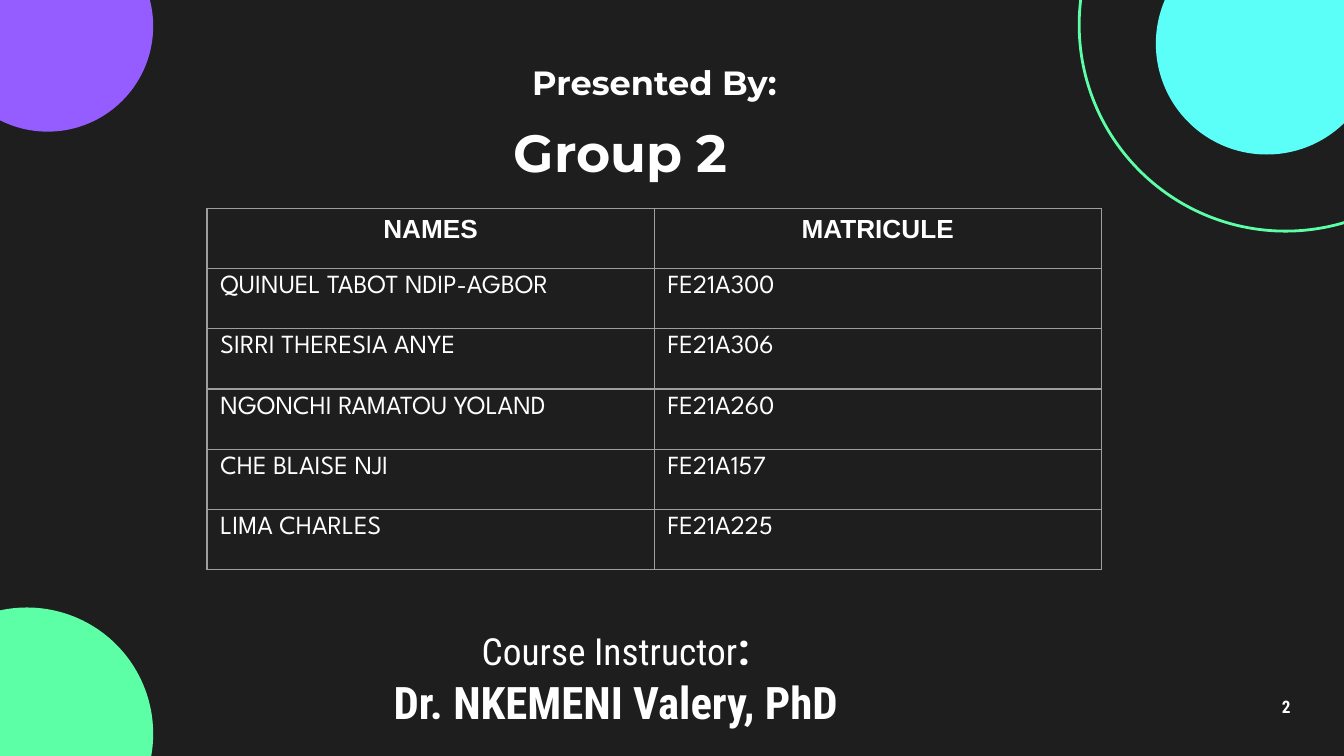
from lxml import etree
from pptx import Presentation
from pptx.dml.color import RGBColor
from pptx.enum.shapes import MSO_SHAPE
from pptx.enum.text import MSO_ANCHOR, MSO_AUTO_SIZE, PP_ALIGN
from pptx.oxml import parse_xml
from pptx.util import Pt

OVAL = MSO_SHAPE.OVAL
MIDDLE = MSO_ANCHOR.MIDDLE
NO_FIT = MSO_AUTO_SIZE.NONE
CENTER, LEFT = PP_ALIGN.CENTER, PP_ALIGN.LEFT
DRAWING = "http://schemas.openxmlformats.org/drawingml/2006/main"

THEME = {
    "background": "1E1E1E", "green": "5CFFA6", "cyan": "5CFFF8",
    "purple": "955CFF", "grid": "9E9E9E",
    "ring_width": 1.5, "grid_width": 0.75, "inset": 7.2,
    "styles": {
        "heading": ("Montserrat", 18, True, "FFFFFF"),
        "group": ("Montserrat", 28, True, "FFFFFF"),
        "column": ("Arial", 14, True, "FFFFFF"),
        "member": ("League Spartan", 14, False, "FFFFFF"),
        "role": ("Roboto Condensed", 20, False, "FFFFFF"),
        "instructor": ("Roboto Condensed", 24, True, "FFFFFF"),
        "number": ("Roboto Condensed", 9.2, True, "FFFFFF"),
    },
}

HEADING = [[("Presented By:", "heading")]]
GROUP = [[("Group 2", "group")]]
INSTRUCTOR = [
    [("Course Instructor", "role"), (": ", "instructor")],
    [("Dr. NKEMENI Valery, PhD ", "instructor")],
]
PAGE = [[("2", "number")]]
MEMBERS = [
    ("NAMES", "MATRICULE"),
    ("QUINUEL TABOT NDIP-AGBOR", "FE21A300"),
    ("SIRRI THERESIA ANYE", "FE21A306"),
    ("NGONCHI RAMATOU YOLAND", "FE21A260"),
    ("CHE BLAISE NJI", "FE21A157"),
    ("LIMA CHARLES", "FE21A225"),
]
CIRCLES = [
    (578.16, -97.2, 221.04, "green", False),
    (-53.28, 325.44, 135.36, "green", True),
    (619.2, -36, 118.8, "cyan", True),
    (-30.96, -42.48, 113.04, "purple", True),
]
HEADING_BOX = (205.2, 13.68, 290.88, 60.48)
GROUP_BOX = (187.2, 51.12, 290.88, 60.48)
INSTRUCTOR_BOX = (187.2, 331.2, 290.88, 60.48)
PAGE_BOX = (667.44, 367.2, 43.2, 24.48)
TABLE_BOX = (110.88, 111.6, 479.16, 193.68)


def color(value):
    return RGBColor.from_string(value)


def points(box):
    return [Pt(length) for length in box]


def set_all(target, values):
    for name, value in values.items():
        setattr(target, name, value)


def write(frame, paragraphs, align, spacing=1):
    for index, runs in enumerate(paragraphs):
        paragraph = frame.add_paragraph() if index else frame.paragraphs[0]
        set_all(paragraph, {"alignment": align, "line_spacing": spacing,
                            "space_before": Pt(0), "space_after": Pt(0)})
        for text, style in runs:
            run = paragraph.add_run()
            run.text = text
            font, size, bold, ink = THEME["styles"][style]
            set_all(run.font, {"name": font, "size": Pt(size), "bold": bold})
            run.font.color.rgb = color(ink)


def fill_box(holder, box, paragraphs, spacing=1):
    set_all(holder, dict(zip(("left", "top", "width", "height"), points(box))))
    inset = Pt(THEME["inset"])
    set_all(holder.text_frame, {
        "word_wrap": True, "auto_size": NO_FIT, "vertical_anchor": MIDDLE,
        "margin_left": inset, "margin_right": inset,
        "margin_top": inset, "margin_bottom": inset,
    })
    write(holder.text_frame, paragraphs, CENTER, spacing)


def add_circle(slide, left, top, size, tint, solid):
    circle = slide.shapes.add_shape(OVAL, *points((left, top, size, size)))
    circle.shadow.inherit = False
    if solid:
        circle.fill.solid()
        circle.fill.fore_color.rgb = color(THEME[tint])
        circle.line.fill.background()
    else:
        circle.fill.background()
        circle.line.color.rgb = color(THEME[tint])
        circle.line.width = Pt(THEME["ring_width"])


def draw_borders(cell):
    properties = cell._tc.get_or_add_tcPr()
    for index, side in enumerate(("lnL", "lnR", "lnT", "lnB")):
        border = parse_xml(f'<a:{side} xmlns:a="{DRAWING}"/>')
        border.set("w", str(Pt(THEME["grid_width"])))
        fill = etree.SubElement(border, f"{{{DRAWING}}}solidFill")
        etree.SubElement(fill, f"{{{DRAWING}}}srgbClr", val=THEME["grid"])
        properties.insert(index, border)


def add_members(slide):
    rows, columns = len(MEMBERS), len(MEMBERS[0])
    table = slide.shapes.add_table(rows, columns, *points(TABLE_BOX)).table
    set_all(table, {"first_row": False, "horz_banding": False})
    for column in table.columns:
        column.width = Pt(TABLE_BOX[2] / columns)
    for index, (row, entries) in enumerate(zip(table.rows, MEMBERS)):
        row.height = Pt(TABLE_BOX[3] / rows)
        style, align = ("member", LEFT) if index else ("column", CENTER)
        for cell, entry in zip(row.cells, entries):
            cell.fill.background()
            draw_borders(cell)
            write(cell.text_frame, [[(entry, style)]], align)


def main():
    deck = Presentation()
    set_all(deck, {"slide_width": Pt(720), "slide_height": Pt(405)})
    slide = deck.slides.add_slide(deck.slide_layouts[5])
    slide.background.fill.solid()
    slide.background.fill.fore_color.rgb = color(THEME["background"])
    for circle in CIRCLES:
        add_circle(slide, *circle)
    fill_box(slide.shapes.title, HEADING_BOX, HEADING)
    for box, paragraphs, spacing in (
        (PAGE_BOX, PAGE, 0.9),
        (GROUP_BOX, GROUP, 1),
        (INSTRUCTOR_BOX, INSTRUCTOR, 1),
    ):
        fill_box(slide.shapes.add_textbox(*points(box)), box, paragraphs, spacing)
    add_members(slide)
    deck.save("out.pptx")


if __name__ == "__main__":
    main()
